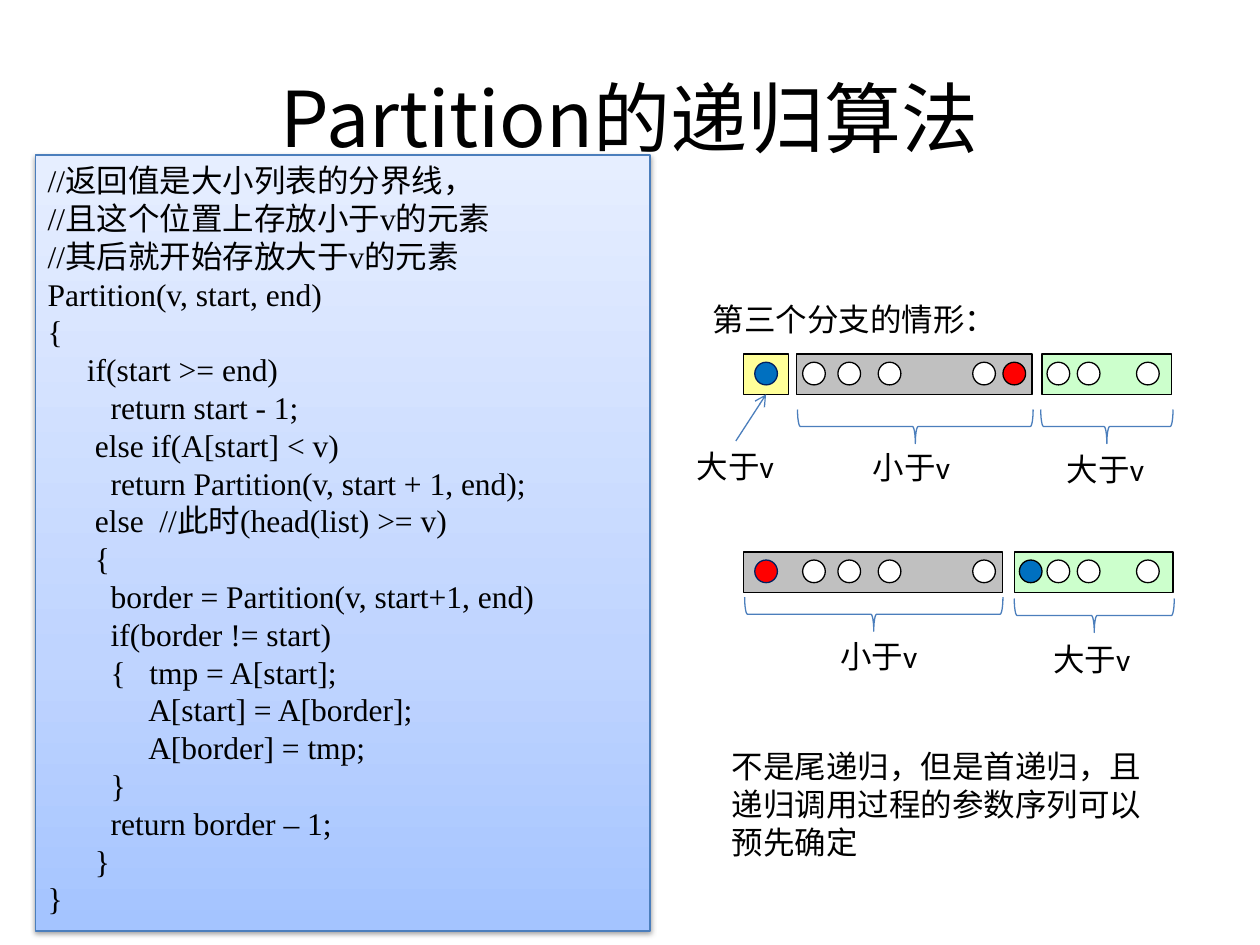
from lxml.etree import SubElement
from pptx import Presentation
from pptx.dml.color import RGBColor
from pptx.enum.shapes import MSO_CONNECTOR, MSO_SHAPE
from pptx.enum.text import MSO_ANCHOR, PP_ALIGN
from pptx.oxml import parse_xml
from pptx.oxml.ns import nsdecls, qn
from pptx.util import Pt

SCALE = 9144  # EMU in one px, at 100 px to the inch
BLACK, WHITE, RED, BLUE, NAVY = "000000", "FFFFFF", "FF0000", "0070C0", "002060"
YELLOW, GREY, GREEN, OUTLINE = "FFFF99", "C0C0C0", "CCFFCC", "4B7EBC"
CJK = "Noto Sans CJK SC"

CODE = """//返回值是大小列表的分界线，
//且这个位置上存放小于v的元素
//其后就开始存放大于v的元素
Partition(v, start, end)
{
     if(start >= end)
\treturn start - 1;
      else if(A[start] < v)
\treturn Partition(v, start + 1, end);
      else  //此时(head(list) >= v)
      {
\tborder = Partition(v, start+1, end)
\tif(border != start)
\t{   tmp = A[start];
\t     A[start] = A[border];
\t     A[border] = tmp;
\t}
\treturn border – 1;
      }
}"""


def px(*lengths):
    return [round(length * SCALE) for length in lengths]


def color(hex_string):
    return RGBColor.from_string(hex_string)


def write(frame, text, font, size=18, east_asian=CJK, align=PP_ALIGN.LEFT):
    frame.word_wrap = True
    frame.text = text
    for paragraph in frame.paragraphs:
        paragraph.alignment = align
        paragraph.font.size = Pt(size)
        paragraph.font.name = font
        paragraph.font.color.rgb = color(BLACK)
        defaults = paragraph._p.pPr.find(qn("a:defRPr"))
        SubElement(defaults, qn("a:ea")).set("typeface", east_asian)


def add_text(page, left, top, width, height, text, font=CJK, **style):
    box = page.shapes.add_textbox(*px(left, top, width, height))
    write(box.text_frame, text, font, **style)
    return box


def add_shape(page, kind, left, top, width, height, fill=None, line=BLACK):
    shape = page.shapes.add_shape(kind, *px(left, top, width, height))
    shape.shadow.inherit = False
    if fill:
        shape.fill.solid()
        shape.fill.fore_color.rgb = color(fill)
    else:
        shape.fill.background()
    shape.line.color.rgb = color(line)
    shape.line.width = Pt(0.75)
    return shape


def add_title(page, left, top, width, height):
    box = add_text(page, left, top, width, height, "Partition的递归算法",
                   font="Noto Sans CJK JP", size=44,
                   east_asian="Noto Sans CJK JP", align=PP_ALIGN.CENTER)
    box.text_frame.vertical_anchor = MSO_ANCHOR.MIDDLE


def add_code(page, left, top, width, height):
    panel = add_shape(page, MSO_SHAPE.RECTANGLE, left, top, width, height, line=OUTLINE)
    properties = panel._element.spPr
    stops = "".join(
        f'<a:gs pos="{percent * 1000}"><a:srgbClr val="{shade}"/></a:gs>'
        for percent, shade in ((0, "A4C4FF"), (35, "BFD4FF"), (100, "E6EEFF")))
    gradient = parse_xml(
        f'<a:gradFill {nsdecls("a")} rotWithShape="1"><a:gsLst>{stops}</a:gsLst>'
        '<a:lin ang="16200000" scaled="0"/></a:gradFill>')
    properties.replace(properties.find(qn("a:noFill")), gradient)
    shadow = parse_xml(
        f'<a:outerShdw {nsdecls("a")} blurRad="{Pt(3.1)}" dist="{Pt(1.6)}" dir="5400000" '
        f'rotWithShape="0"><a:srgbClr val="{BLACK}"><a:alpha val="38000"/></a:srgbClr>'
        '</a:outerShdw>')
    properties.find(qn("a:effectLst")).append(shadow)
    panel.text_frame.vertical_anchor = MSO_ANCHOR.TOP
    write(panel.text_frame, CODE, "Times New Roman")


def add_brace(page, left, top, width, height):
    """Draw a brace opening upwards inside the given box."""
    shift = (width - height) / 2
    brace = add_shape(page, MSO_SHAPE.LEFT_BRACE, left + shift, top - shift,
                      height, width, line=OUTLINE)
    brace.rotation = 270


def add_arrow(page, start, end):
    arrow = page.shapes.add_connector(MSO_CONNECTOR.STRAIGHT, *px(*start, *end))
    arrow.line.color.rgb = color(OUTLINE)
    arrow.line.width = Pt(0.75)
    SubElement(arrow.line._get_or_add_ln(), qn("a:tailEnd")).set("type", "arrow")
    SubElement(arrow._element.spPr, qn("a:effectLst"))


def add_label(page, left, top, text):
    add_text(page, left, top, 83, 40, text, font="Calibri")


def add_list(page, left, top, height, segments, elements, groups):
    """Draw list segments, their elements, and a labelled brace under each group."""
    for x, width, fill in segments:
        add_shape(page, MSO_SHAPE.RECTANGLE, left + x, top, width, height, fill)
    for x, fill, line in elements:
        add_shape(page, MSO_SHAPE.OVAL, left + x, top + 6.5, 18, 18, fill, line)
    for x, y, width, label_x, label_y, text in groups:
        add_brace(page, left + x, top + y, width, 27)
        add_label(page, left + label_x, top + label_y, text)


def add_third_branch(page, left, top):
    """Show the list before and after the swap, with a heading and a remark."""
    add_text(page, left - 34, top, 276, 40, "第三个分支的情形：")
    plain = [(x, WHITE, BLACK) for x in (47, 75, 107, 182, 241, 265, 312)]
    before, after = top + 48, top + 205
    add_list(page, left, before, 32,
             [(237, 103, GREEN), (42, 187, GREY), (0, 36, YELLOW)],
             plain + [(206, RED, BLACK), (9, BLUE, NAVY)],
             [(43, 44, 187, 93, 70, "小于v"), (236, 44, 105, 247, 71, "大于v")])
    add_label(page, left - 47, before + 69, "大于v")
    add_arrow(page, (left - 6, before + 69), (left + 18, before + 32))
    add_list(page, left, after, 32,
             [(215, 126, GREEN), (0, 206, GREY)],
             plain + [(219, BLUE, BLACK), (9, RED, NAVY)],
             [(1, 36, 205, 67, 63, "小于v"), (215, 37, 127, 236, 65, "大于v")])
    add_text(page, left - 19, top + 355, 361, 101,
             "不是尾递归，但是首递归，且递归调用过程的参数序列可以预先确定")


def main():
    deck = Presentation()
    deck.slide_width, deck.slide_height = px(1000, 750)
    page = deck.slides.add_slide(deck.slide_layouts[6])
    add_title(page, 50, 30, 900, 125)
    add_code(page, 28, 123, 488, 616)
    add_third_branch(page, 590, 233)
    deck.save("out.pptx")


if __name__ == "__main__":
    main()
